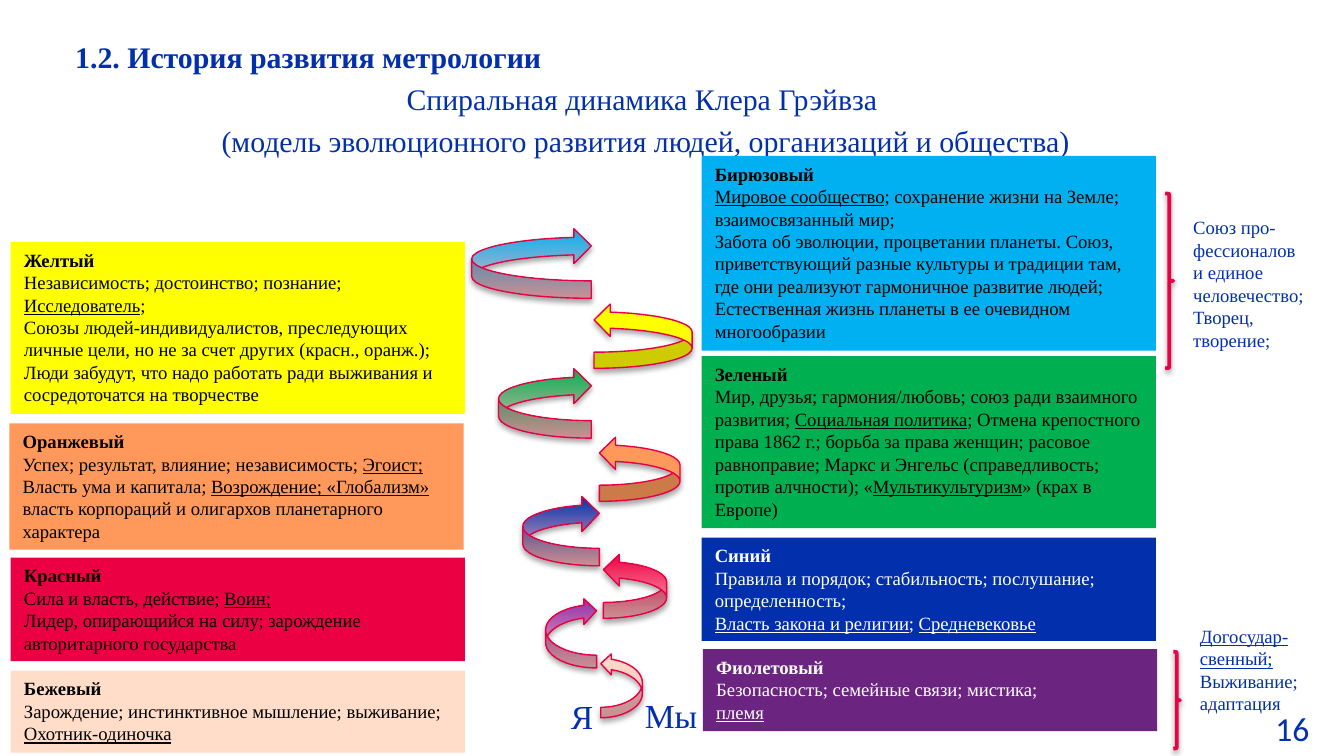
from lxml.etree import SubElement
from pptx import Presentation
from pptx.dml.color import RGBColor as Rgb
from pptx.enum.shapes import MSO_SHAPE as Preset
from pptx.enum.text import MSO_ANCHOR as Anchor, MSO_AUTO_SIZE as AutoSize, PP_ALIGN as Align
from pptx.oxml.ns import qn
from pptx.util import Inches, Pt

COLORS = {
    "navy": "0230AC", "black": "000000", "white": "FFFFFF", "outline": "E70043",
    "pink": "FFB3B9", "beige": "FFDDC8", "red": "EC0044", "orange": "FF995B",
    "yellow": "FFFF00", "turquoise": "00B0F0", "green": "00B050",
    "violet": "6B2581", "purple": "8F32AC",
}
COLORS = {name: Rgb.from_string(value) for name, value in COLORS.items()}
SERIF = "Times New Roman"

# The slide is a grid of 100 columns by 56.25 rows
CELL = Inches(0.1)
deck = Presentation()
deck.slide_width, deck.slide_height = 100 * CELL, int(56.25 * CELL)
slide = deck.slides.add_slide(deck.slide_layouts[1])
shapes = slide.shapes


def write(frame, lines, size, color, font=SERIF, bold_first=False):
    """Fill a frame; parts between underscores are underlined."""
    frame.word_wrap = True
    frame.vertical_anchor = Anchor.TOP
    for index, line in enumerate(lines):
        paragraph = frame.paragraphs[0] if index == 0 else frame.add_paragraph()
        paragraph.alignment = Align.LEFT
        for part, words in enumerate(line.split("_")):
            if words:
                run = paragraph.add_run()
                run.text = words
                run.font.name, run.font.size = font, Pt(size)
                run.font.color.rgb = COLORS[color]
                run.font.bold = bold_first and index == 0
                run.font.underline = part % 2 == 1


def cast_shadow(shape, opacity, distance):
    shape.shadow.inherit = False
    effects = shape._element.spPr.find(qn("a:effectLst"))
    shadow = SubElement(effects, qn("a:outerShdw"), blurRad=str(Pt(3.1)), dist=str(Pt(distance)),
                        dir="5400000", rotWithShape="0")
    tint = SubElement(shadow, qn("a:srgbClr"), val=str(COLORS["black"]))
    SubElement(tint, qn("a:alpha"), val=str(opacity * 1000))


# Heading in the body placeholder
title, heading = slide.placeholders
title._element.getparent().remove(title._element)
heading.left, heading.top, heading.width, heading.height = (
    int(n * CELL) for n in (4.6, 2.4, 86.9, 40.7))
write(heading.text_frame, [
    "1.2. История развития метрологии",
    "Спиральная динамика Клера Грэйвза ",
    "(модель эволюционного развития людей, организаций и общества)",
], 16, "navy", bold_first=True)
heading.text_frame.auto_size = AutoSize.NONE
for index, paragraph in enumerate(heading.text_frame.paragraphs):
    paragraph.alignment = Align.CENTER if index else Align.LEFT
    paragraph.space_before = Pt(3.2)
    properties = paragraph._p.get_or_add_pPr()
    properties.set("marL", "0")
    properties.set("indent", "0")
    SubElement(properties, qn("a:buNone"))

# Spiral: left, top, width, height, colour, ends in pink
RIGHT_TURNS = [
    (44.7, 48.6, 3.1, 4.8, "beige", True),
    (44.9, 41.2, 4.7, 4.8, "red", True),
    (44.6, 32.5, 6, 4.8, "orange", False),
    (44.2, 22.6, 7.3, 4.8, "yellow", False),
]
LEFT_TURNS = [
    (38.9, 36.9, 5.7, 5.2, "navy", True),
    (37.1, 27.4, 6.9, 5.2, "green", True),
    (35.1, 17, 8.9, 5.2, "turquoise", True),
    (40.6, 44.5, 3.8, 5.2, "purple", True),
]
for preset, turns in ((Preset.CURVED_RIGHT_ARROW, RIGHT_TURNS), (Preset.CURVED_LEFT_ARROW, LEFT_TURNS)):
    for *box, color, fades in turns:
        turn = shapes.add_shape(preset, *(int(n * CELL) for n in box))
        if preset == Preset.CURVED_RIGHT_ARROW:
            turn.rotation = 180
        else:
            turn._element.spPr.xfrm.set("flipH", "1")
            turn._element.spPr.xfrm.set("flipV", "1")
        if fades:
            turn.fill.gradient()
            turn.fill.gradient_angle = 90
            for stop, name in zip(turn.fill.gradient_stops, (color, "pink")):
                stop.color.rgb = COLORS[name]
        else:
            turn.fill.solid()
            turn.fill.fore_color.rgb = COLORS[color]
        turn.line.color.rgb = COLORS["outline"]
        turn.line.width = Pt(0.75)
        cast_shadow(turn, 35, 1.8)

# Levels: left, top, height, fill, text colour, lines
LEVELS = [
    (0.8, 49.9, 6.1, "beige", "black", [
        "Бежевый", "Зарождение; инстинктивное мышление; выживание;", "_Охотник-одиночка_"]),
    (0.8, 41.5, 7.7, "red", "black", [
        "Красный", "Сила и власть, действие; _Воин;_",
        "Лидер, опирающийся на силу; зарождение авторитарного государства"]),
    (0.7, 31.5, 9.4, "orange", "black", [
        "Оранжевый", "Успех; результат, влияние; независимость; _Эгоист;_",
        "Власть ума и капитала; _Возрождение; «Глобализм» _"
        "власть корпораций и олигархов планетарного характера"]),
    (52.3, 48.3, 6.1, "violet", "white", [
        "Фиолетовый", "Безопасность; семейные связи; мистика;", "_племя_"]),
    (52.2, 40, 7.7, "navy", "white", [
        "Синий", "Правила и порядок; стабильность; послушание; определенность;",
        "_Власть закона и религии_; _Средневековье_"]),
    (52.2, 26.5, 12.8, "green", "black", [
        "Зеленый",
        "Мир, друзья; гармония/любовь; союз ради взаимного развития; _Социальная политика_; "
        "Отмена крепостного права 1862 г.; борьба за права женщин; расовое равноправие; "
        "Маркс и Энгельс (справедливость; против алчности); «_Мультикультуризм_» (крах в Европе)"]),
    (52.2, 11.6, 14.5, "turquoise", "black", [
        "Бирюзовый", "_Мировое сообщество_; сохранение жизни на Земле; взаимосвязанный мир;",
        "Забота об эволюции, процветании планеты. Союз, приветствующий разные культуры "
        "и традиции там, где они реализуют гармоничное развитие людей; "
        "Естественная жизнь планеты в ее очевидном многообразии"]),
    (0.8, 18, 12.8, "yellow", "black", [
        "Желтый", "Независимость; достоинство; познание; _Исследователь_;",
        "Союзы людей-индивидуалистов, преследующих личные цели, "
        "но не за счет других (красн., оранж.);",
        "Люди забудут, что надо работать ради выживания и сосредоточатся на творчестве"]),
]
for left, top, height, fill, ink, lines in LEVELS:
    level = shapes.add_shape(Preset.RECTANGLE, *(int(n * CELL) for n in (left, top, 33.8, height)))
    level.fill.solid()
    level.fill.fore_color.rgb = COLORS[fill]
    level.line.fill.background()
    level.shadow.inherit = False
    write(level.text_frame, lines, 10, ink, bold_first=True)

# Braces beside the right column
for box in ((87.3, 48.5, 0.5, 7.2), (86.7, 14.4, 0.6, 13)):
    brace = shapes.add_shape(Preset.RIGHT_BRACE, *(int(n * CELL) for n in box))
    brace.fill.background()
    brace.line.color.rgb = COLORS["red"]
    brace.line.width = Pt(2)
    cast_shadow(brace, 38, 1.6)

# Brace notes, spiral poles and page number
LABELS = [
    ((88.3, 46, 11.2, 7.7), 10, SERIF, ["_Догосудар-_", "_свенный;_", "Выживание;", "адаптация"]),
    ((87.8, 15.6, 12.2, 11.1), 10, SERIF, [
        "Союз про-", "фессионалов", "и единое", "человечество;", "Творец, творение;"]),
    ((47, 51.2, 8.2, 4), 18, SERIF, ["Мы"]),
    ((41.5, 51.3, 3.6, 4), 18, SERIF, ["Я"]),
    ((93.9, 52.2, 5.9, 4), 18, "Calibri", ["16"]),
]
for box, size, font, lines in LABELS:
    label = shapes.add_textbox(*(int(n * CELL) for n in box))
    write(label.text_frame, lines, size, "navy", font)

deck.save("out.pptx")
